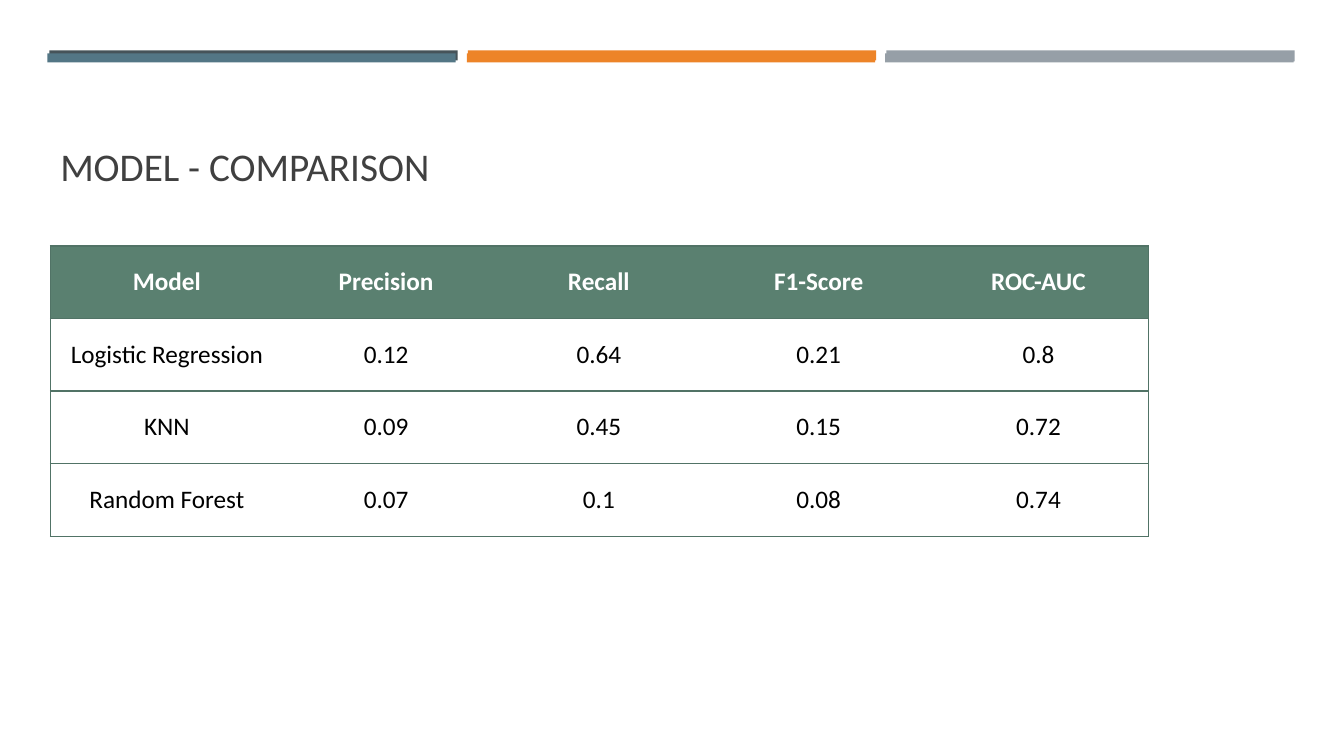
"""Build the model comparison slide."""
from typing import NamedTuple

from lxml.etree import SubElement
from pptx import Presentation
from pptx.dml.color import RGBColor
from pptx.enum.shapes import MSO_SHAPE as Preset
from pptx.enum.text import MSO_ANCHOR as Anchor, PP_ALIGN as Align
from pptx.oxml.ns import qn
from pptx.slide import Slide
from pptx.table import _Cell as Cell
from pptx.text.text import TextFrame
from pptx.util import Emu, Pt

COLORS = {
    "shade": "465359", "teal": "537685", "orange": "ED8428", "gray": "969FA7",
    "title": "404040", "header": "5A8070", "rule": "517366",
    "white": "FFFFFF", "black": "000000",
}
EMU_PER_PX = 9144
RULE_WIDTH = Pt(1)
COLUMN_WIDTHS = (231, 204, 218, 218, 218)
ROW_HEIGHT = 72
SCORES = (
    ("Model", "Precision", "Recall", "F1-Score", "ROC-AUC"),
    ("Logistic Regression", "0.12", "0.64", "0.21", "0.8"),
    ("KNN", "0.09", "0.45", "0.15", "0.72"),
    ("Random Forest", "0.07", "0.1", "0.08", "0.74"),
)


class Bar(NamedTuple):
    left: int
    top: int
    height: int
    color: str


BARS = (
    Bar(49, 50, 10, "shade"),
    Bar(879, 50, 11, "gray"),
    Bar(464, 50, 10, "orange"),
    Bar(47, 53, 9, "teal"),
    Bar(463, 53, 9, "orange"),
    Bar(878, 53, 9, "gray"),
)
BAR_WIDTH = 405


def px(length: int) -> Emu:
    return Emu(length * EMU_PER_PX)


def rgb(color: str) -> RGBColor:
    return RGBColor.from_string(COLORS[color])


def write(frame: TextFrame, text: str, *, size: int, color: str,
          bold: bool = False, align: Align = Align.LEFT) -> None:
    paragraph = frame.paragraphs[0]
    paragraph.alignment = align
    run = paragraph.add_run()
    run.text = text
    run.font.name = "Calibri"
    run.font.size = Pt(size)
    run.font.bold = bold
    run.font.color.rgb = rgb(color)


def draw_bar(slide: Slide, bar: Bar) -> None:
    strip = slide.shapes.add_shape(
        Preset.RECTANGLE, px(bar.left), px(bar.top), px(BAR_WIDTH), px(bar.height))
    strip.shadow.inherit = False
    strip.fill.solid()
    strip.fill.fore_color.rgb = rgb(bar.color)
    strip.line.fill.background()


def draw_title(slide: Slide) -> None:
    heading = slide.shapes.add_textbox(px(50), px(77), px(1233), px(116)).text_frame
    heading.word_wrap = True
    heading.vertical_anchor = Anchor.BOTTOM
    write(heading, "MODEL - COMPARISON", size=28, color="title")


def set_borders(cell: Cell, sides: str) -> None:
    properties = cell._tc.get_or_add_tcPr()
    for index, side in enumerate("LRTB"):
        border = SubElement(properties, qn(f"a:ln{side}"), w=str(RULE_WIDTH))
        if side in sides:
            fill = SubElement(border, qn("a:solidFill"))
            SubElement(fill, qn("a:srgbClr"), val=COLORS["rule"])
        else:
            SubElement(border, qn("a:noFill"))
        properties.insert(index, border)


def draw_scores(slide: Slide) -> None:
    table = slide.shapes.add_table(
        len(SCORES), len(COLUMN_WIDTHS), px(50), px(244),
        px(sum(COLUMN_WIDTHS)), px(ROW_HEIGHT * len(SCORES))).table
    table.horz_banding = False
    for column, width in zip(table.columns, COLUMN_WIDTHS):
        column.width = px(width)
    last_column = len(COLUMN_WIDTHS) - 1
    for row_index, row in enumerate(SCORES):
        is_header = row_index == 0
        for column_index, text in enumerate(row):
            cell = table.cell(row_index, column_index)
            cell.vertical_anchor = Anchor.MIDDLE
            if is_header:
                cell.fill.solid()
                cell.fill.fore_color.rgb = rgb("header")
            else:
                cell.fill.background()
            write(cell.text_frame, text, size=18, bold=is_header,
                  color="white" if is_header else "black", align=Align.CENTER)
            outer = {0: "L", last_column: "R"}.get(column_index, "")
            set_borders(cell, "TB" + outer)


def main() -> None:
    deck = Presentation()
    deck.slide_width, deck.slide_height = px(1333), px(750)
    slide = deck.slides.add_slide(deck.slide_layouts[6])
    for bar in BARS:
        draw_bar(slide, bar)
    draw_title(slide)
    draw_scores(slide)
    deck.save("out.pptx")


if __name__ == "__main__":
    main()
